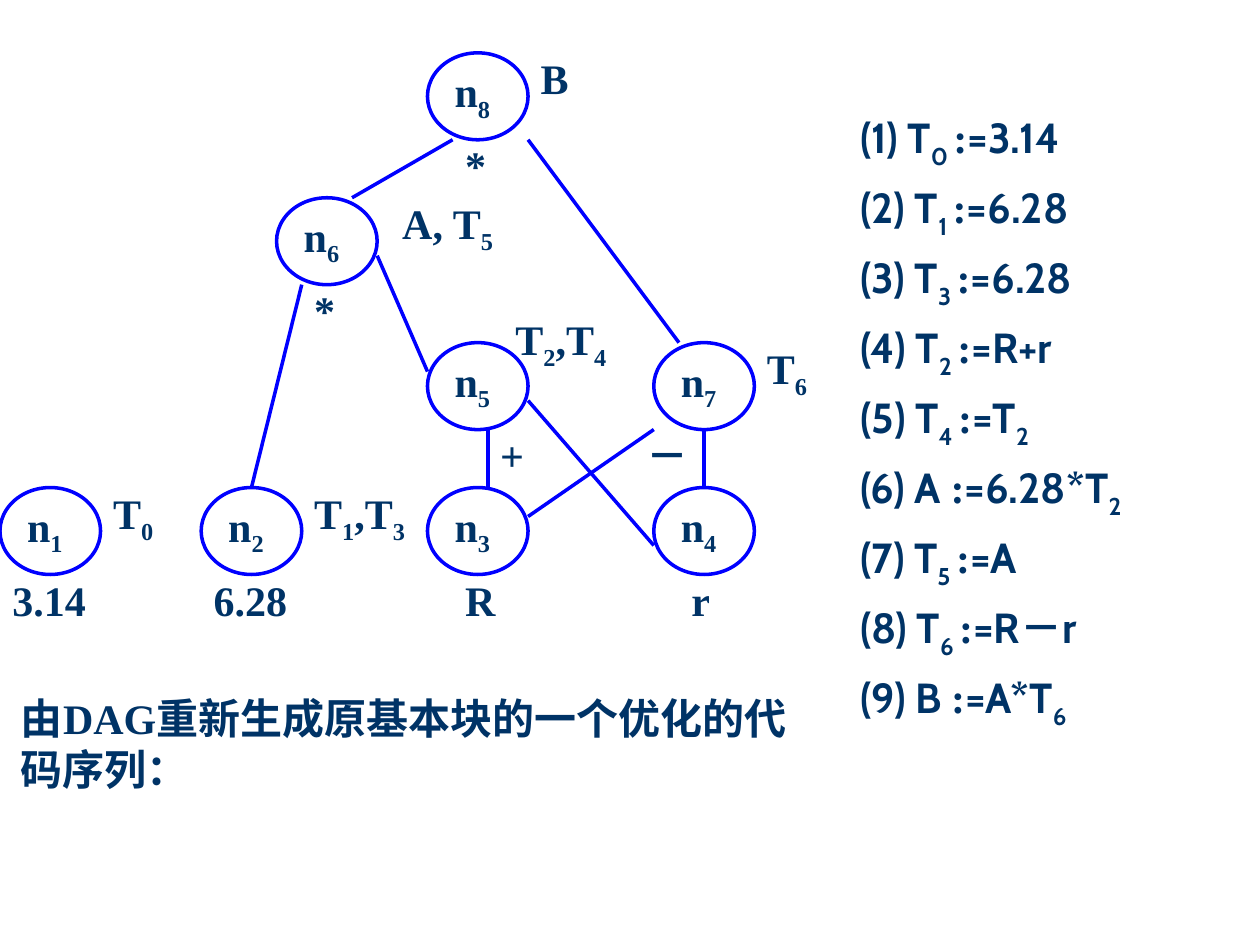
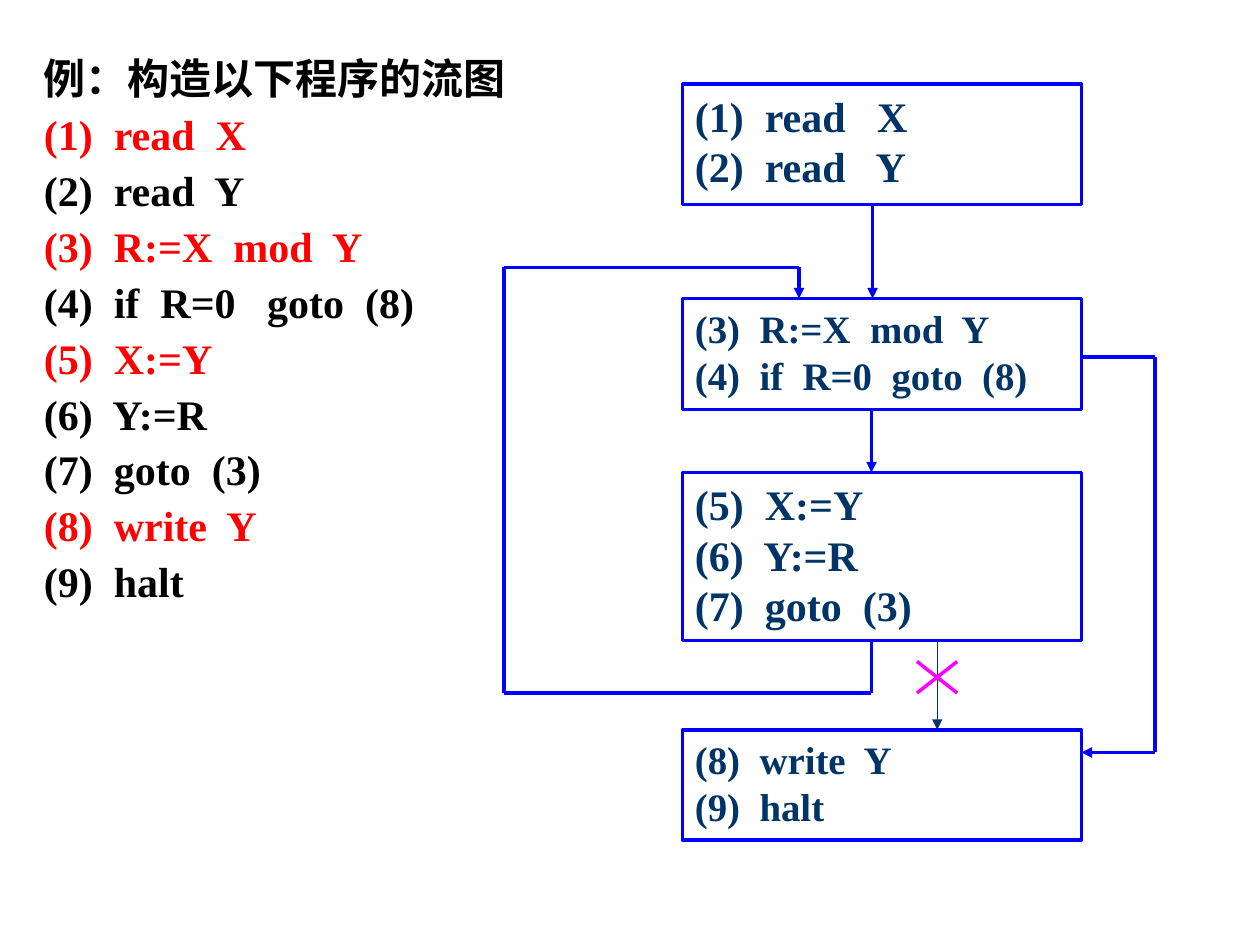
from itertools import pairwise

from lxml import etree
from pptx import Presentation
from pptx.dml.color import RGBColor
from pptx.enum import shapes, text
from pptx.oxml import ns
from pptx.util import Pt

NAVY = RGBColor(0x00, 0x33, 0x66)
BLUE = RGBColor(0x00, 0x00, 0xFF)
RED = RGBColor(0xFF, 0x00, 0x00)
PINK = RGBColor(0xFF, 0x00, 0xFF)
BLACK = RGBColor(0x00, 0x00, 0x00)
WHITE = RGBColor(0xFF, 0xFF, 0xFF)

SERIF = "Times New Roman"
SANS = "Cabin"
BODY_SIZE = 24
COLUMN, ROW, GRAPH_TOP = 14.37, 16.56, 30.2

NODES = [
    ("n|_1", 0, 15), ("n|_2", 8, 15), ("n|_3", 17, 15), ("n|_4", 26, 15),
    ("n|_5", 17, 10), ("n|_6", 11, 5), ("n|_7", 26, 10), ("n|_8", 17, 0),
]
LABELS = [
    ("B", 21, 0, 3), ("*", 18, 3, 3), ("A, T|_5", 15.5, 5, 5.75),
    ("*", 12, 8, 3), ("T|_2|,T|_4", 20, 9, 6), ("T|_6", 30, 10, 3),
    ("－", 25.2, 13, 2.9), ("+", 19.4, 13, 2.9), ("T|_0", 4, 15, 3),
    ("T|_1|,T|_3", 12, 15, 5), ("3.14", 0, 18, 4), ("6.28", 8, 18, 5),
    ("R", 18, 18, 4), ("r", 27, 18, 3),
]
EDGES = [
    ((21, 3), (27, 10)), ((18, 3), (14, 5)), ((15, 7), (17, 11)),
    ((12, 8), (10, 15)), ((21, 12), (26, 17)), ((26, 13), (21, 16)),
    ((28, 13), (28, 15)), ((19.4, 13), (19.4, 15)),
]
OPTIMIZED_CODE = [
    "(1) T|_0 |:|=3.14", "(2) T|_1 |:|=6.28", "(3) T|_3 |:|=6.28",
    "(4) T|_2 |:|=R+r", "(5) T|_4 |:|=T|_2", "(6) A |:|=6.28*T|_2",
    "(7) T|_5 |:|=A", "(8) T|_6 |:|=R|－|r", "(9) B |:|=A*T|_6",
]
PROGRAM = [
    ("例：构造以下程序的流图", BLACK), ("(1)  read  X", RED),
    ("(2)  read  Y", BLACK), ("(3)  R:=X  mod  Y", RED),
    ("(4)  if  R=0   goto  (8)", BLACK), ("(5)  X:=Y", RED),
    ("(6)  Y:=R", BLACK), ("(7)  goto  (3)", BLACK),
    ("(8)  write  Y", RED), ("(9)  halt", BLACK),
]
BLOCKS = [
    (48, 69, 24, ["(1)  read   X", "(2)  read   Y"]),
    (170.6, 63.4, 22.2, ["(3)  R:=X  mod  Y", "(4)  if  R=0  goto  (8)"]),
    (270, 96, 24, ["(5)  X:=Y", "(6)  Y:=R", "(7)  goto  (3)"]),
    (417, 63, 22.2, ["(8)  write  Y", "(9)  halt"]),
]


def add_spans(para, marked, color=NAVY, size=BODY_SIZE, font=SERIF, drop=-25000):
    for piece in marked.split("|"):
        span = para.add_run()
        span.text = piece.removeprefix("_")
        span.font.name = SERIF if piece in (":", "－") else font
        span.font.size = Pt(size)
        span.font.bold = True
        span.font.color.rgb = color
        if piece.startswith("_"):
            span.font._element.set("baseline", str(drop))


def set_frame(box, across=7.2, down=0):
    frame = box.text_frame
    frame.word_wrap = True
    frame.vertical_anchor = text.MSO_ANCHOR.TOP
    frame.margin_left = frame.margin_right = Pt(across)
    frame.margin_top = frame.margin_bottom = Pt(down)
    return frame


def add_lines(frame, lines, gap=0, spacing=None, **style):
    for index, (line, color) in enumerate(lines):
        para = frame.add_paragraph() if index else frame.paragraphs[0]
        para.alignment = text.PP_ALIGN.LEFT
        if index and gap:
            para.space_before = Pt(gap)
        if spacing:
            para.line_spacing = spacing
        add_spans(para, line, color, **style)


def add_text(page, left, top, width, height, lines, across=0, down=0, **style):
    box = page.shapes.add_textbox(Pt(left), Pt(top), Pt(width), Pt(height))
    add_lines(set_frame(box, across, down), lines, **style)


def add_panel(page, kind, left, top, width, height, lines, outlined=True, down=0, **style):
    box = page.shapes.add_shape(kind, Pt(left), Pt(top), Pt(width), Pt(height))
    box.shadow.inherit = False
    box.fill.solid()
    box.fill.fore_color.rgb = WHITE
    if outlined:
        box.line.color.rgb = BLUE
        box.line.width = Pt(2)
    else:
        box.line.fill.background()
    add_lines(set_frame(box, down=down), [(line, NAVY) for line in lines], **style)


def add_path(page, *points, color=BLUE, weight=2, arrow=False):
    for start, end in pairwise(points):
        line = page.shapes.add_connector(
            shapes.MSO_CONNECTOR.STRAIGHT, *(Pt(value) for value in start + end))
        line.line.color.rgb = color
        line.line.width = Pt(weight)
        if arrow and end == points[-1]:
            etree.SubElement(line.line._get_or_add_ln(), ns.qn("a:tailEnd"), type="triangle")
        etree.SubElement(line._element.spPr, ns.qn("a:effectLst"))


def grid_point(column, row):
    return column * COLUMN, GRAPH_TOP + row * ROW


def build_dag(page):
    for label, column, row, span in LABELS:
        add_panel(page, shapes.MSO_SHAPE.RECTANGLE, *grid_point(column, row),
                  span * COLUMN, (2 if label == "－" or row == 3 else 3) * ROW,
                  [label], outlined=False)
    for name, column, row in NODES:
        add_panel(page, shapes.MSO_SHAPE.OVAL, *grid_point(column, row),
                  4 * COLUMN, 3 * ROW, [name])
    for start, end in EDGES:
        add_path(page, grid_point(*start), grid_point(*end))
    add_text(page, 491.5, 63.5, 210, 354, [(line, NAVY) for line in OPTIMIZED_CODE],
             gap=6, font=SANS, drop=-30000)
    add_text(page, 12, 396, 456, 58,
             [("由DAG重新生成原基本块的一个优化的代码序列：", NAVY)])


def build_flow_graph(page):
    add_text(page, 18, 30, 300, 324, PROGRAM, across=7.2, down=3.6, gap=6, spacing=0.9)
    for top, height, size, lines in BLOCKS:
        add_panel(page, shapes.MSO_SHAPE.RECTANGLE, 390, top, 228, height, lines,
                  down=3.6, size=size)
    add_path(page, (498.6, 117), (498.6, 170.6), arrow=True)
    add_path(page, (498, 234), (498, 270), arrow=True)
    add_path(page, (498, 366), (498, 396), (288, 396), (288, 152.8),
             (456.6, 152.8), (456.6, 170.6), arrow=True)
    add_path(page, (618, 204), (660, 204), (660, 430), (618, 430), arrow=True)
    add_path(page, (535.6, 366), (535.6, 417), color=NAVY, weight=0.75, arrow=True)
    add_path(page, (524, 396), (547, 378), color=PINK)
    add_path(page, (524, 378), (547, 396), color=PINK)


def main():
    deck = Presentation()
    deck.slide_width, deck.slide_height = Pt(720), Pt(540)
    for build in (build_dag, build_flow_graph):
        build(deck.slides.add_slide(deck.slide_layouts[6]))
    deck.save("out.pptx")


if __name__ == "__main__":
    main()
